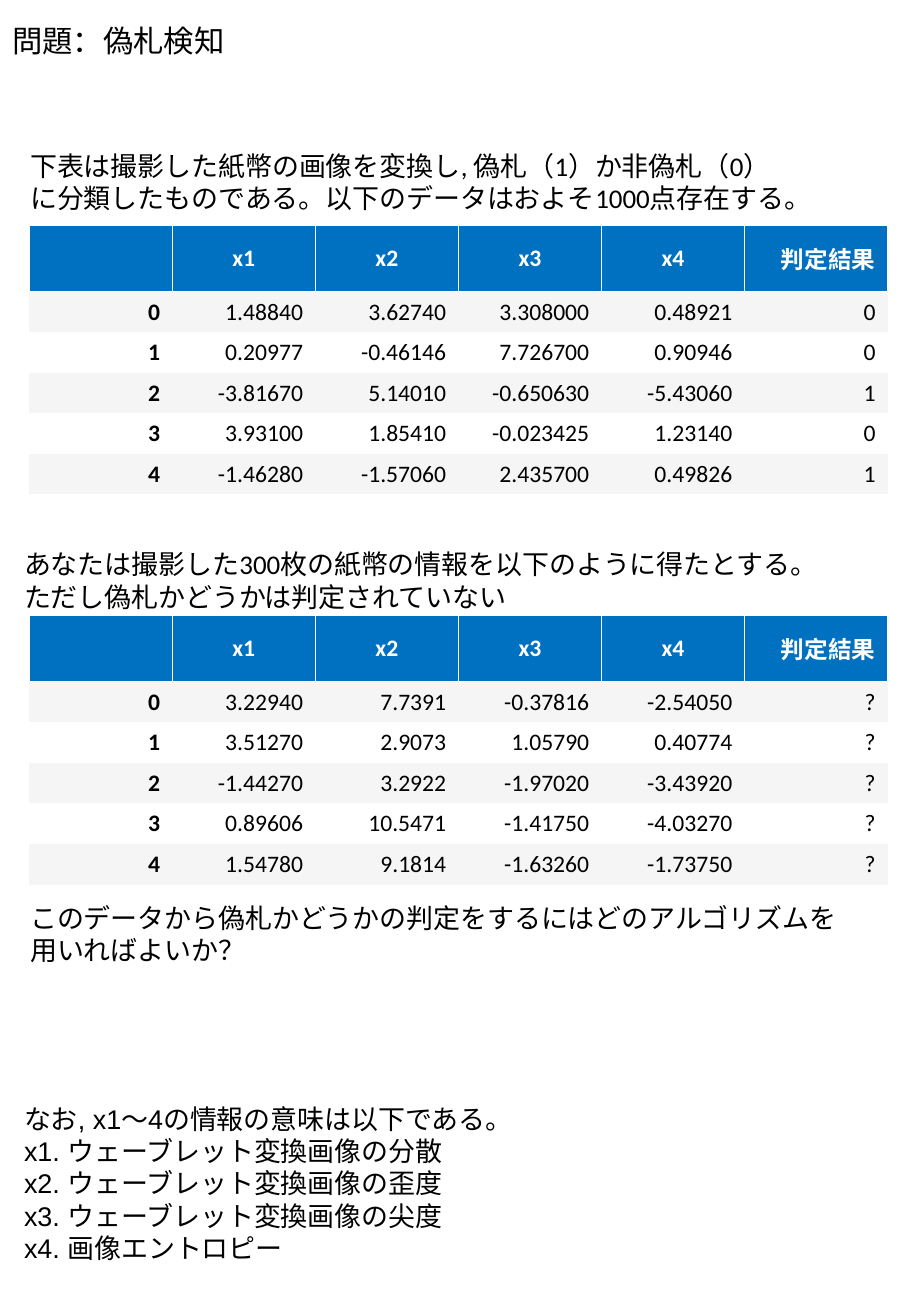
from lxml import etree
from pptx import Presentation
from pptx import util as u
from pptx.dml.color import RGBColor
from pptx.enum import text as t
from pptx.oxml import ns

TITLE = "問題：偽札検知"
HEAD = ["", "x1", "x2", "x3", "x4", "判定結果"]
KNOWN = [
    ("1.48840", "3.62740", "3.308000", "0.48921", "0"),
    ("0.20977", "-0.46146", "7.726700", "0.90946", "0"),
    ("-3.81670", "5.14010", "-0.650630", "-5.43060", "1"),
    ("3.93100", "1.85410", "-0.023425", "1.23140", "0"),
    ("-1.46280", "-1.57060", "2.435700", "0.49826", "1"),
]
ASKED = [
    ("3.22940", "7.7391", "-0.37816", "-2.54050", "?"),
    ("3.51270", "2.9073", "1.05790", "0.40774", "?"),
    ("-1.44270", "3.2922", "-1.97020", "-3.43920", "?"),
    ("0.89606", "10.5471", "-1.41750", "-4.03270", "?"),
    ("1.54780", "9.1814", "-1.63260", "-1.73750", "?"),
]
WAVE = "ウェーブレット変換画像の"
TERMS = [WAVE + "分散", WAVE + "歪度", WAVE + "尖度", "画像エントロピー"]
LEGEND = "\v".join(f"x{n}. {term}" for n, term in enumerate(TERMS, 1))

THEME = {
    "font": "Calibri", "alt": "Arial", "title": 18, "body": 16, "cell": 14,
    "ink": "000000", "head": "0070C0", "band": "F5F5F5", "paper": "FFFFFF",
}
NOTES = [
    ((0.1, 9.02, 6.86, 1.45),
     ["なお, x1～4の情報の意味は以下である。", LEGEND],
     {"font": THEME["alt"], "wrap": True}),
    ((0.15, 1.18, 6.72, 0.64),
     ["下表は撮影した紙幣の画像を変換し, 偽札（1）か非偽札（0）",
      "に分類したものである。以下のデータはおよそ1000点存在する。"], {}),
    ((0.1, 4.46, 6.83, 0.64),
     ["あなたは撮影した300枚の紙幣の情報を以下のように得たとする。",
      "ただし偽札かどうかは判定されていない"], {}),
    ((0.15, 7.37, 6.93, 0.64),
     ["このデータから偽札かどうかの判定をするにはどのアルゴリズムを",
      "用いればよいか？"], {}),
]
TABLES = [(1.85, KNOWN), (5.06, ASKED)]
LEFT, WIDTH, HEAD_H, ROW_H = 0.24, 7.07, 0.55, 0.33
PLAIN = "{2D5ABB26-0587-4C30-8999-92F81FD0307C}"


def write(frame, lines, size=THEME["body"], font=THEME["font"],
          color=THEME["ink"], bold=False, align=t.PP_ALIGN.LEFT, wrap=None):
    """Fill a text frame with formatted paragraphs."""
    if wrap is not None:
        frame.word_wrap = wrap
    for n, line in enumerate(lines):
        para = frame.add_paragraph() if n else frame.paragraphs[0]
        para.text = line
        para.alignment = align
        for run in para.runs:
            face = run.font
            face.size, face.name, face.bold = u.Pt(size), font, bold
            face.color.rgb = RGBColor.from_string(color)


def place(shape, box):
    """Move a shape to a box given in inches."""
    shape.left, shape.top, shape.width, shape.height = map(u.Inches, box)


def edge(cell):
    """Draw a thin border on all four sides of a cell."""
    props = cell._tc.get_or_add_tcPr()
    for n, side in enumerate("LRTB"):
        line = etree.Element(ns.qn("a:ln" + side), w=str(u.Pt(1)))
        fill = etree.SubElement(line, ns.qn("a:solidFill"))
        etree.SubElement(fill, ns.qn("a:srgbClr"), val=THEME["paper"])
        props.insert(n, line)


def grid(slide, top, data):
    """Add a table with a header row, an index column and banded rows."""
    rows = [HEAD] + [(str(n), *row) for n, row in enumerate(data)]
    high = HEAD_H + ROW_H * len(data)
    box = map(u.Inches, (LEFT, top, WIDTH, high))
    table = slide.shapes.add_table(len(rows), len(HEAD), *box).table
    table.horz_banding = False
    table._tbl.tblPr.find(ns.qn("a:tableStyleId")).text = PLAIN
    for r, row in enumerate(rows):
        table.rows[r].height = u.Inches(ROW_H if r else HEAD_H)
        back = THEME["head"] if r == 0 else THEME["band" if r % 2 else "paper"]
        for c, value in enumerate(row):
            cell = table.cell(r, c)
            cell.vertical_anchor = t.MSO_ANCHOR.MIDDLE
            cell.fill.solid()
            cell.fill.fore_color.rgb = RGBColor.from_string(back)
            if r == 0:
                edge(cell)
            mid = r == 0 and c < len(HEAD) - 1
            if value:
                write(cell.text_frame, [value], size=THEME["cell"],
                      color=THEME["ink" if r else "paper"],
                      bold=r == 0 or c == 0,
                      align=t.PP_ALIGN.CENTER if mid else t.PP_ALIGN.RIGHT)


def main():
    """Build the slide and save it."""
    deck = Presentation()
    deck.slide_width, deck.slide_height = u.Inches(7.5), u.Inches(10.83)
    slide = deck.slides.add_slide(deck.slide_layouts[5])
    title = slide.shapes.title
    place(title, (0, 0.13, 1.97, 0.4))
    title.text_frame.vertical_anchor = t.MSO_ANCHOR.TOP
    title.text_frame.auto_size = t.MSO_AUTO_SIZE.SHAPE_TO_FIT_TEXT
    write(title.text_frame, [TITLE], size=THEME["title"], wrap=False)
    for box, lines, style in NOTES:
        note = slide.shapes.add_textbox(*map(u.Inches, box))
        note.text_frame.auto_size = t.MSO_AUTO_SIZE.SHAPE_TO_FIT_TEXT
        write(note.text_frame, lines, **{"wrap": False, **style})
    for top, data in TABLES:
        grid(slide, top, data)
    deck.save("out.pptx")


main()
